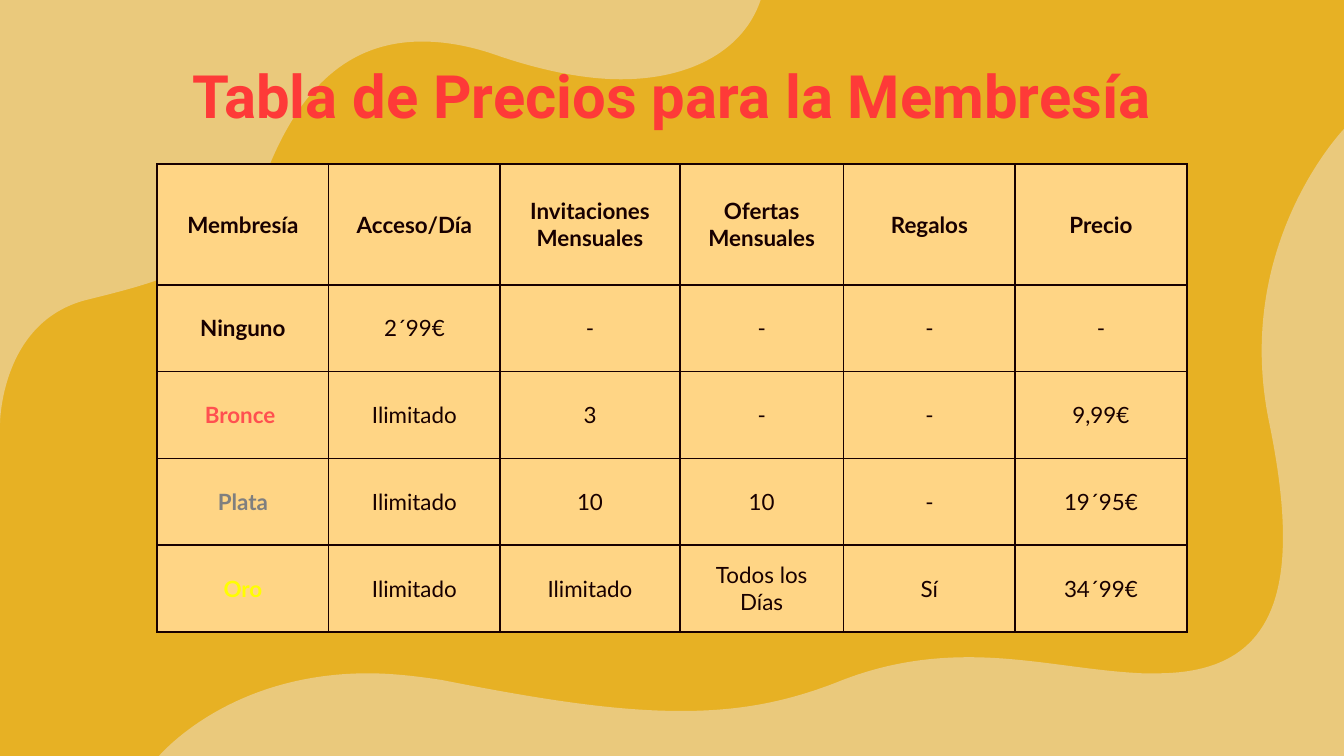
from lxml.etree import SubElement
from pptx import Presentation
from pptx.dml.color import RGBColor
from pptx.enum.text import MSO_ANCHOR as Anchor, PP_ALIGN as Align
from pptx.oxml.ns import qn
from pptx.util import Pt

COLORS = {
    "background": "E7B124", "blob": "EAC97C", "title": "FE3A38",
    "cell": "FFD585", "ink": "180000",
    "Bronce ": "FF5050", "Plata": "7F7F7F", "Oro": "FFFF00",
}
COLUMN_WIDTHS = [91.9, 91.9, 96.2, 87.8, 91.9, 91.9]
ROW_HEIGHTS = [64.8] + [46.5] * 4
PRICES = [
    ["Membresía", "Acceso/Día", "Invitaciones Mensuales", "Ofertas Mensuales", "Regalos", "Precio"],
    ["Ninguno", "2´99€", "-", "-", "-", "-"],
    ["Bronce ", "Ilimitado", "3", "-", "-", "9,99€"],
    ["Plata", "Ilimitado", "10", "10", "-", "19´95€"],
    ["Oro", "Ilimitado", "Ilimitado", "Todos los Días", "Sí", "34´99€"],
]
TOP_BLOB = [
    [(0, 0)],
    [(0, 227.5)],
    [(0, 227.5), (0, 172.1), (46.8, 160.6)],
    [(93.6, 149), (123.8, 141.1), (142.6, 92.9)],
    [(157.7, 54.7), (181.4, 22.3), (226.1, 22.3)],
    [(238.3, 22.3), (252, 24.5), (267.8, 30.2)],
    [(291.6, 38.2), (313.9, 42.5), (332.6, 42.5)],
    [(371.5, 42.5), (398.9, 25.9), (407.5, 0)],
]
BOTTOM_BLOB = [
    [(635.8, 0)],
    [(635.8, 0), (576.7, 61.2), (595.4, 155.5)],
    [(614.2, 245.5), (600.5, 291.6), (535.7, 291.6)],
    [(532.8, 291.6), (530.6, 291.6), (527.8, 291.6)],
    [(496.8, 290.2), (467.3, 283), (434.9, 283)],
    [(414, 283), (391.7, 285.8), (367.2, 295.2)],
    [(337, 307.4), (311, 311.8), (280.8, 311.8)],
    [(246.2, 311.8), (207.4, 306), (152.6, 295.2)],
    [(138.2, 293), (125.3, 291.6), (113, 291.6)],
    [(36.7, 291.6), (0, 337), (0, 337)],
    [(635.8, 337)],
    [(635.8, 0)],
]


def color(name):
    return RGBColor.from_string(COLORS[name])


def bend_segments(blob, segments):
    lines = list(blob._element.iter(qn("a:lnTo")))
    for line, points in zip(lines, segments[1:]):
        if len(points) == 3:
            curve = SubElement(line.getparent(), qn("a:cubicBezTo"))
            for x, y in points:
                SubElement(curve, qn("a:pt"), x=str(Pt(x)), y=str(Pt(y)))
            line.getparent().replace(line, curve)


def add_blob(page, left, top, segments):
    start, *ends = [(Pt(points[-1][0]), Pt(points[-1][1])) for points in segments]
    builder = page.shapes.build_freeform(*start)
    builder.add_line_segments(ends, close=True)
    blob = builder.convert_to_shape(Pt(left), Pt(top))
    bend_segments(blob, segments)
    blob.shadow.inherit = False
    blob.fill.solid()
    blob.fill.fore_color.rgb = color("blob")
    blob.line.fill.background()


def style_text(frame, font_name, size, ink, bold):
    para = frame.paragraphs[0]
    para.alignment = Align.CENTER
    for span in para.runs:
        span.font.name = font_name
        span.font.size = Pt(size)
        span.font.bold = bold
        span.font.color.rgb = color(ink)


def add_title(page, left, top, width, height):
    box = page.shapes.add_textbox(Pt(left), Pt(top), Pt(width), Pt(height))
    frame = box.text_frame
    frame.word_wrap = True
    frame.vertical_anchor = Anchor.MIDDLE
    frame.margin_left = frame.margin_right = Pt(7.2)
    frame.margin_top = frame.margin_bottom = Pt(7.2)
    frame.text = "Tabla de Precios para la Membresía"
    style_text(frame, "Roboto", 32, "title", True)


def add_borders(cell):
    properties = cell._tc.get_or_add_tcPr()
    for side in ("a:lnL", "a:lnR", "a:lnT", "a:lnB"):
        line = SubElement(properties, qn(side), w=str(Pt(1)))
        fill = SubElement(line, qn("a:solidFill"))
        SubElement(fill, qn("a:srgbClr"), val=COLORS["ink"])


def add_price_table(page, left, top):
    frame = page.shapes.add_table(
        len(PRICES), len(COLUMN_WIDTHS), Pt(left), Pt(top),
        Pt(sum(COLUMN_WIDTHS)), Pt(sum(ROW_HEIGHTS)),
    )
    table = frame.table
    for column, width in zip(table.columns, COLUMN_WIDTHS):
        column.width = Pt(width)
    for row, height in zip(table.rows, ROW_HEIGHTS):
        row.height = Pt(height)
    for r, values in enumerate(PRICES):
        for c, value in enumerate(values):
            cell = table.cell(r, c)
            add_borders(cell)
            cell.fill.solid()
            cell.fill.fore_color.rgb = color("cell")
            cell.vertical_anchor = Anchor.MIDDLE
            cell.text_frame.text = value
            ink = value if value in COLORS else "ink"
            style_text(cell.text_frame, "Lato", 12, ink, r == 0 or c == 0)


def main():
    deck = Presentation()
    deck.slide_width, deck.slide_height = Pt(720), Pt(405)
    page = deck.slides.add_slide(deck.slide_layouts[6])
    page.background.fill.solid()
    page.background.fill.fore_color.rgb = color("background")
    add_blob(page, 0, 0, TOP_BLOB)
    add_blob(page, 84.2, 69.1, BOTTOM_BLOB)
    add_title(page, 0, 19.4, 720, 62.6)
    add_price_table(page, 84.2, 87.8)
    deck.save("out.pptx")


if __name__ == "__main__":
    main()
